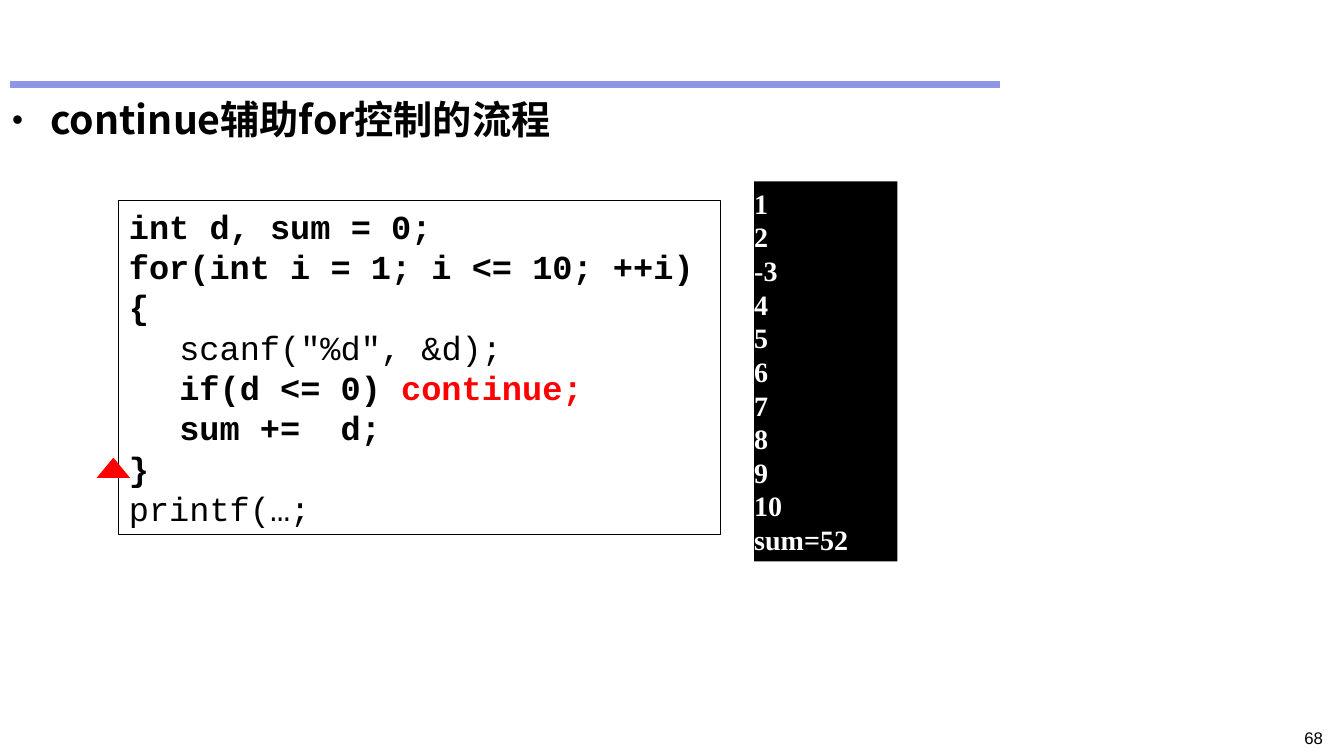
from dataclasses import dataclass

from lxml import etree
from pptx import Presentation
from pptx.dml.color import RGBColor
from pptx.enum.shapes import MSO_CONNECTOR, MSO_SHAPE
from pptx.enum.text import MSO_ANCHOR, PP_ALIGN
from pptx.oxml.ns import qn
from pptx.util import Inches, Pt


@dataclass(frozen=True)
class Theme:
    black: str = "000000"
    white: str = "FFFFFF"
    red: str = "FF0000"
    rule: str = "8D97E5"
    heading_font: str = "Noto Sans CJK SC"
    code_font: str = "Courier New"
    console_font: str = "Times New Roman"
    number_font: str = "Arial"
    heading_size: int = 28
    code_size: int = 24
    console_size: int = 20
    number_size: int = 12


class SlideBuilder:
    def __init__(self, slide, theme):
        self.slide = slide
        self.theme = theme

    def add_rule(self, left, right, top, width):
        line = self.slide.shapes.add_connector(
            MSO_CONNECTOR.STRAIGHT, Inches(left), Inches(top), Inches(right), Inches(top))
        line.line.color.rgb = RGBColor.from_string(self.theme.rule)
        line.line.width = Pt(width)
        etree.SubElement(line._element.spPr, qn("a:effectLst"))

    def add_shape(self, kind, box, fill=None, outline=None):
        shape = self.slide.shapes.add_shape(kind, *map(Inches, box))
        shape.shadow.inherit = False
        if fill:
            shape.fill.solid()
            shape.fill.fore_color.rgb = RGBColor.from_string(fill)
        else:
            shape.fill.background()
        if outline:
            shape.line.color.rgb = RGBColor.from_string(outline)
            shape.line.width = Pt(0.75)
        else:
            shape.line.fill.background()
        return shape

    def add_text_box(self, box):
        return self.slide.shapes.add_textbox(*map(Inches, box))

    def set_text(self, shape, lines, margins=(0.1, 0.05), anchor=MSO_ANCHOR.TOP,
                 align=PP_ALIGN.LEFT, bullet=False, **style):
        """Fill a shape; each line is a list of (text, format overrides) runs."""
        frame = shape.text_frame
        frame.word_wrap = True
        frame.vertical_anchor = anchor
        frame.margin_left = frame.margin_right = Inches(margins[0])
        frame.margin_top = frame.margin_bottom = Inches(margins[1])
        for index, runs in enumerate(lines):
            paragraph = frame.add_paragraph() if index else frame.paragraphs[0]
            paragraph.alignment = align
            if bullet:
                self.add_bullet(paragraph)
            for text, overrides in runs:
                self.add_run(paragraph, text, **{**style, **overrides})

    def add_bullet(self, paragraph):
        properties = paragraph._p.get_or_add_pPr()
        properties.set("marL", str(Inches(0.38)))
        properties.set("indent", str(-Inches(0.38)))
        etree.SubElement(properties, qn("a:buSzPct"), val="80000")
        etree.SubElement(properties, qn("a:buFont"), typeface=self.theme.number_font)
        etree.SubElement(properties, qn("a:buChar"), char="•")

    def add_run(self, paragraph, text, font, size, color, bold=False):
        run = paragraph.add_run()
        run.text = text
        run.font.name = font
        run.font.size = Pt(size)
        run.font.bold = bold
        run.font.color.rgb = RGBColor.from_string(color)
        etree.SubElement(run._r.get_or_add_rPr(), qn("a:ea"), typeface=font)


def main():
    presentation = Presentation()
    presentation.slide_width = Inches(13.33)
    presentation.slide_height = Inches(7.5)
    slide = presentation.slides.add_slide(presentation.slide_layouts[6])
    theme = Theme()
    builder = SlideBuilder(slide, theme)

    builder.add_rule(0.1, 9.92, 0.84, 4.5)

    heading = builder.add_text_box((0.1, 0.94, 13.12, 6.51))
    builder.set_text(heading, [[("continue辅助for控制的流程", {})]], margins=(0.02, 0.01),
                     bullet=True, font=theme.heading_font, size=theme.heading_size,
                     color=theme.black, bold=True)

    console = builder.add_shape(MSO_SHAPE.RECTANGLE, (7.48, 1.8, 1.42, 3.77), fill=theme.black)
    output = ["1", "2", "-3", *map(str, range(4, 11)), "sum=52"]
    builder.set_text(console, [[(line, {})] for line in output], margins=(0, 0.05),
                     font=theme.console_font, size=theme.console_size,
                     color=theme.white, bold=True)

    plain = {"bold": False}
    code = builder.add_shape(MSO_SHAPE.RECTANGLE, (1.18, 1.99, 5.97, 3.31), outline=theme.black)
    builder.set_text(code, [
        [("int d, sum = 0;", {})],
        [("for(int i = 1; i <= 10; ++i)", {})],
        [("{", {})],
        [("\t", {}), ('scanf("%d", &d);', plain)],
        [("\tif(d <= 0) ", {}), ("continue;", {"color": theme.red})],
        [("\tsum +=  d;", {})],
        [("}", {})],
        [("printf(…;", plain)],
    ], font=theme.code_font, size=theme.code_size, color=theme.black, bold=True)

    page_number = builder.add_text_box((11.91, 7.17, 1.31, 0.25))
    builder.set_text(page_number, [[("68", {})]], align=PP_ALIGN.RIGHT,
                     font=theme.number_font, size=theme.number_size, color=theme.black)

    builder.add_shape(MSO_SHAPE.ISOSCELES_TRIANGLE, (0.96, 4.54, 0.33, 0.2), fill=theme.red)

    presentation.save("out.pptx")


if __name__ == "__main__":
    main()
